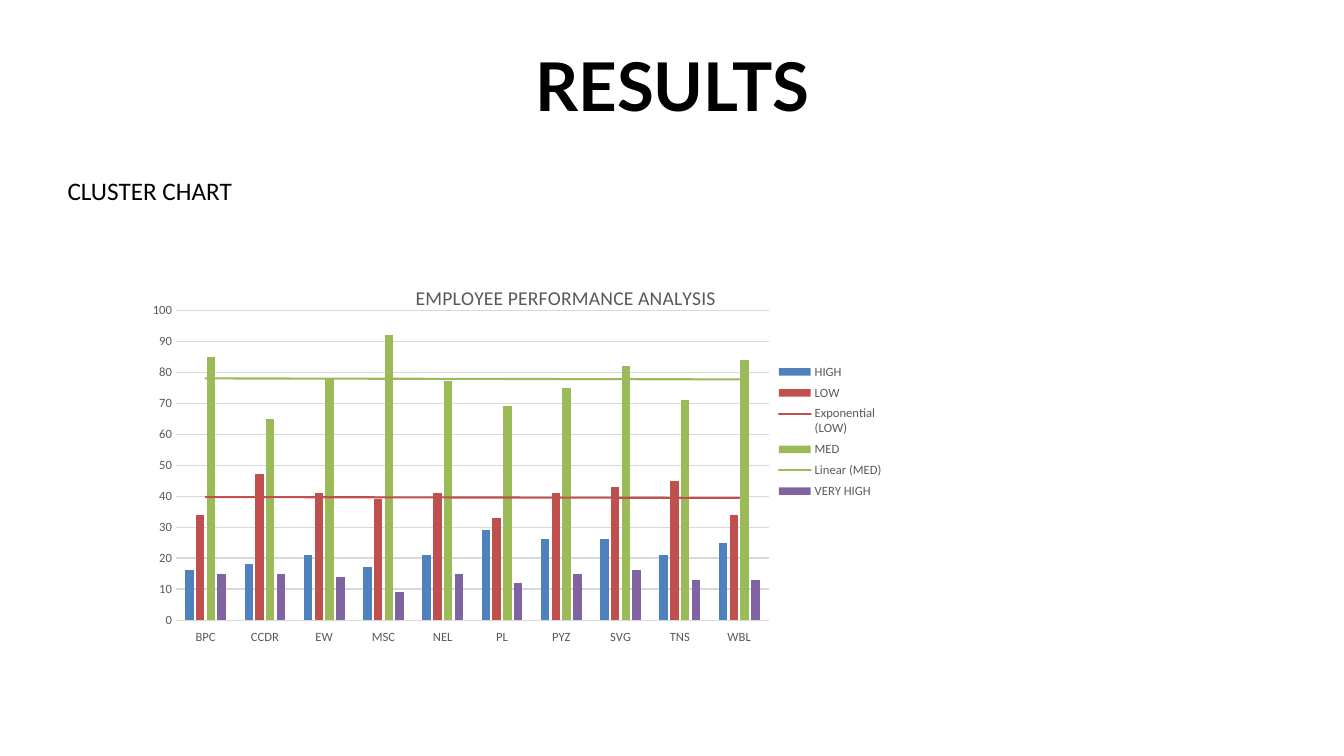
from lxml import etree
from pptx import Presentation
from pptx.chart.data import CategoryChartData
from pptx.dml.color import RGBColor
from pptx.enum.chart import XL_CHART_TYPE as ChartType, XL_LEGEND_POSITION as LegendSide
from pptx.enum.chart import XL_TICK_LABEL_POSITION as LabelPlace, XL_TICK_MARK as TickMark
from pptx.enum.text import MSO_ANCHOR as Anchor, PP_ALIGN as Align
from pptx.oxml import parse_xml
from pptx.oxml.ns import nsdecls, qn
from pptx.util import Inches, Pt

BLACK = RGBColor(0x00, 0x00, 0x00)
GREY = RGBColor(0x59, 0x59, 0x59)
PALE = RGBColor(0xD9, 0xD9, 0xD9)
BLUE = RGBColor(0x4F, 0x81, 0xBD)
RED = RGBColor(0xC0, 0x50, 0x4D)
GREEN = RGBColor(0x9B, 0xBB, 0x59)
PURPLE = RGBColor(0x80, 0x64, 0xA2)

TEAMS = ["BPC", "CCDR", "EW", "MSC", "NEL", "PL", "PYZ", "SVG", "TNS", "WBL"]
# Level, colour, trend line, employees per team
LEVELS = [
    ("HIGH", BLUE, None, [16, 18, 21, 17, 21, 29, 26, 26, 21, 25]),
    ("LOW", RED, "exp", [34, 47, 41, 39, 41, 33, 41, 43, 45, 34]),
    ("MED", GREEN, "linear", [85, 65, 78, 92, 77, 69, 75, 82, 71, 84]),
    ("VERY HIGH", PURPLE, None, [15, 15, 14, 9, 15, 12, 15, 16, 13, 13]),
]


def write(box, text, font_name, size, bold, align, anchor):
    frame = box.text_frame
    frame.margin_left = frame.margin_right = frame.margin_top = frame.margin_bottom = 0
    frame.word_wrap = True
    frame.vertical_anchor = anchor
    frame.text = text
    para = frame.paragraphs[0]
    para.alignment = align
    font = para.runs[0].font
    font.name, font.size, font.bold = font_name, Pt(size), bold
    font.color.rgb = BLACK


def place(part, index, **shares):
    """Lay out a chart part by shares of the chart's size."""
    for old in part.findall(qn("c:layout")):
        part.remove(old)
    layout = parse_xml(f"<c:layout {nsdecls('c')}><c:manualLayout/></c:layout>")
    for tag in ("xMode", "yMode"):
        etree.SubElement(layout[0], qn(f"c:{tag}")).set("val", "edge")
    for tag, share in shares.items():
        etree.SubElement(layout[0], qn(f"c:{tag}")).set("val", str(share))
    part.insert(index, layout)


deck = Presentation()
deck.slide_width, deck.slide_height = Inches(13.33), Inches(7.5)
page = deck.slides.add_slide(deck.slide_layouts[5])

# Title and subtitle
title = page.shapes.title
title.left, title.top = Inches(0.83), Inches(0.42)
title.width, title.height = Inches(11.68), Inches(0.83)
write(title, "RESULTS", "Lato", 48, True, Align.CENTER, Anchor.MIDDLE)
subtitle = page.shapes.add_textbox(Inches(0.67), Inches(1.74), Inches(12), Inches(0.3))
write(subtitle, "CLUSTER CHART", "Calibri", 18, False, Align.LEFT, Anchor.TOP)

# Clustered columns
data = CategoryChartData()
data.categories = TEAMS
for level, _, _, counts in LEVELS:
    data.add_series(level, counts)
chart = page.shapes.add_chart(ChartType.COLUMN_CLUSTERED, Inches(1.5), Inches(2.2),
                              Inches(7.61), Inches(4.84), data).chart
chart.font.name, chart.font.size = "Arial", Pt(10)
chart.font.color.rgb = BLACK
plot = chart.plots[0]
plot.gap_width, plot.overlap, plot.vary_by_categories = 219, -27, False

# Series colours and trend lines
for series, (_, colour, trend, _) in zip(plot.series, LEVELS):
    series.format.fill.solid()
    series.format.fill.fore_color.rgb = colour
    if trend:
        trendline = parse_xml(
            f'<c:trendline {nsdecls("c", "a")}><c:spPr><a:ln w="{Pt(1.5)}" cap="rnd">'
            f'<a:solidFill><a:srgbClr val="{colour}"/></a:solidFill></a:ln></c:spPr>'
            f'<c:trendlineType val="{trend}"/><c:dispRSqr val="0"/><c:dispEq val="0"/>'
            '</c:trendline>')
        series._element.find(qn("c:cat")).addprevious(trendline)

# Axes
teams_axis, count_axis = chart.category_axis, chart.value_axis
for axis in (teams_axis, count_axis):
    axis.major_tick_mark = axis.minor_tick_mark = TickMark.NONE
teams_axis.tick_label_position = LabelPlace.LOW
teams_axis.format.line.color.rgb = PALE
teams_axis.format.line.width = Pt(0.75)
count_axis.minimum_scale, count_axis.maximum_scale, count_axis.major_unit = 0, 100, 10
count_axis.format.line.fill.background()
grid_line = count_axis.major_gridlines.format.line
grid_line.color.rgb, grid_line.width = PALE, Pt(0.75)

# Chart title and legend
chart.has_title = True
heading = chart.chart_title
heading.text_frame.text = "EMPLOYEE PERFORMANCE ANALYSIS"
heading.include_in_layout = False
chart.has_legend = True
chart.legend.position = LegendSide.RIGHT
chart.legend.include_in_layout = False

heading_font = heading.text_frame.paragraphs[0].runs[0].font
heading_font.bold = False
for font, size in ((heading_font, 14), (chart.legend.font, 9),
                   (teams_axis.tick_labels.font, 9), (count_axis.tick_labels.font, 9)):
    font.name, font.size = "Calibri", Pt(size)
    font.color.rgb = GREY

# Places of the chart's parts
place(heading._element, 1, x=0.34, y=0.12)
place(chart.legend._element, 1, x=0.81, y=0.28, w=0.15, h=0.3)
place(chart._chartSpace.chart.plotArea, 0, x=0.002, y=0.166, w=0.803, h=0.701)

deck.save("out.pptx")
